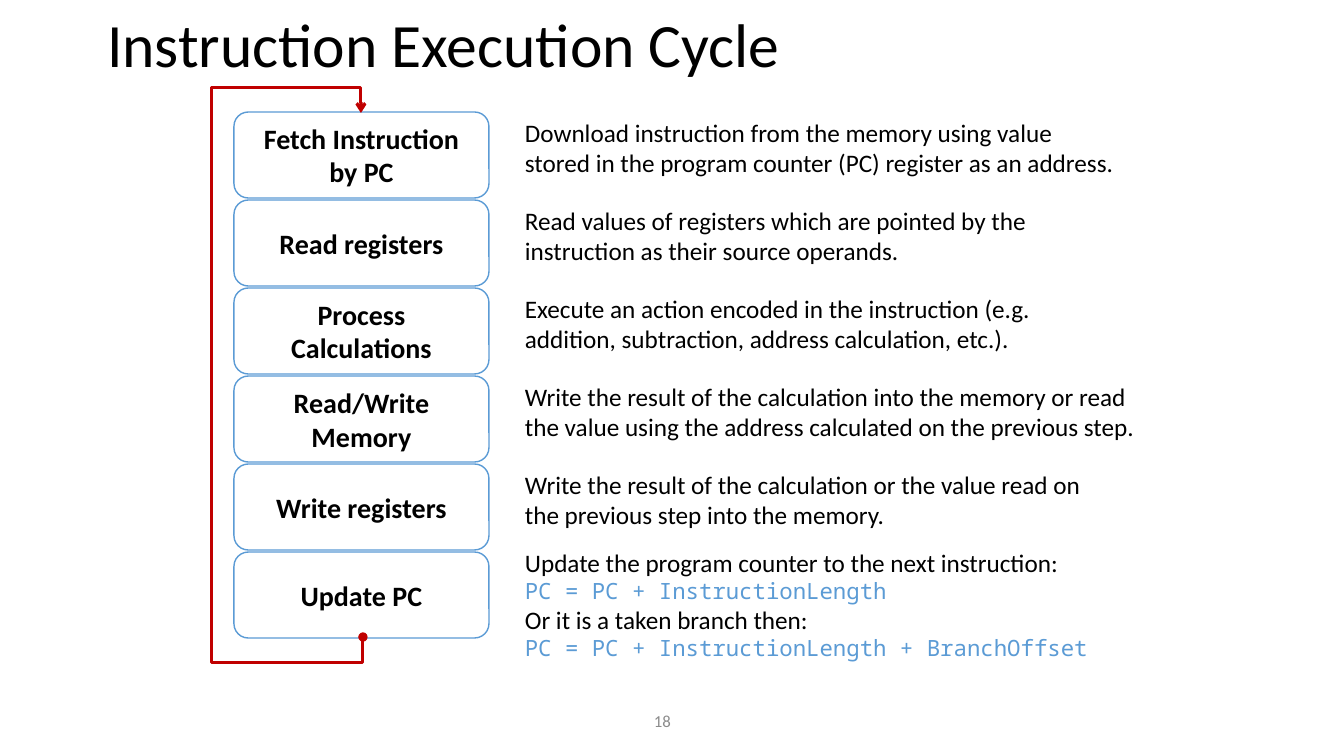
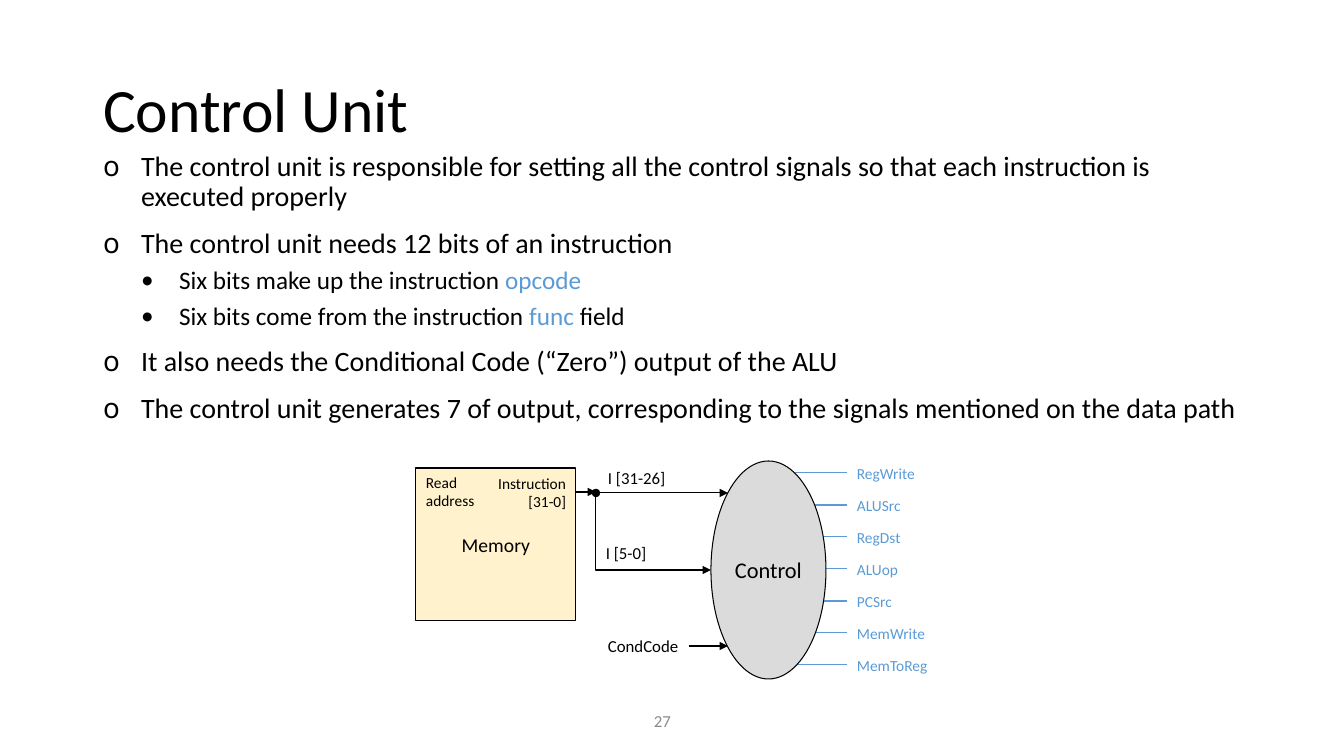
"""Build two slides on the instruction execution cycle and the control unit."""
from lxml import etree
from pptx import Presentation
from pptx.dml.color import RGBColor
from pptx.enum.shapes import MSO_CONNECTOR, MSO_SHAPE
from pptx.enum.text import MSO_ANCHOR, MSO_AUTO_SIZE, PP_ALIGN
from pptx.oxml.ns import qn
from pptx.util import Pt

STRAIGHT, ELBOW = MSO_CONNECTOR.STRAIGHT, MSO_CONNECTOR.ELBOW
RECTANGLE, ROUNDED, OVAL = MSO_SHAPE.RECTANGLE, MSO_SHAPE.ROUNDED_RECTANGLE, MSO_SHAPE.OVAL
LEFT, CENTER, RIGHT = PP_ALIGN.LEFT, PP_ALIGN.CENTER, PP_ALIGN.RIGHT
TOP, MIDDLE = MSO_ANCHOR.TOP, MSO_ANCHOR.MIDDLE
NO_AUTOSIZE = MSO_AUTO_SIZE.NONE

BLACK = RGBColor(0x00, 0x00, 0x00)
WHITE = RGBColor(0xFF, 0xFF, 0xFF)
BLUE = RGBColor(0x5B, 0x9B, 0xD5)
RED = RGBColor(0xC0, 0x00, 0x00)
CREAM = RGBColor(0xFF, 0xF2, 0xCC)
SILVER = RGBColor(0xDB, 0xDB, 0xDB)
GREY = RGBColor(0x8C, 0x8C, 0x8C)
FONT, CODE_FONT = "Calibri", "Noto Sans Mono"
PX = 914400 / 100.8


def write_text(shape, text, size, color=BLACK, align=LEFT, anchor=TOP, bold=False):
    frame = shape.text_frame
    frame.text = text
    frame.word_wrap = True
    frame.auto_size = NO_AUTOSIZE
    frame.vertical_anchor = anchor
    for paragraph in frame.paragraphs:
        paragraph.alignment = align
        for run in paragraph.runs:
            run.font.name = FONT
            run.font.size = Pt(size)
            run.font.bold = bold
            run.font.color.rgb = color
    return frame


def add_line(slide, kind, ends, color, width, head=None, tail=None):
    connector = slide.shapes.add_connector(kind, *(round(end * PX) for end in ends))
    connector.line.color.rgb = color
    connector.line.width = Pt(width)
    outline = connector.line._get_or_add_ln()
    for tag, arrow in (("a:headEnd", head), ("a:tailEnd", tail)):
        if arrow:
            etree.SubElement(outline, qn(tag), type=arrow)
    etree.SubElement(connector.element.spPr, qn("a:effectLst"))
    return connector


presentation = Presentation()
presentation.slide_width = round(1344 * PX)
presentation.slide_height = round(756 * PX)

slides = []
for layout, title, number, box in (
    (5, "Instruction Execution Cycle", "18", (97, -3, 1159, 102)),
    (1, "Control Unit", "27", (93, 40, 1159, 146)),
):
    slide = presentation.slides.add_slide(presentation.slide_layouts[layout])
    heading = slide.shapes.title
    heading.left, heading.top, heading.width, heading.height = (round(v * PX) for v in box)
    write_text(heading, title, 44, anchor=MIDDLE).paragraphs[0].line_spacing = 0.9
    number_box = slide.shapes.add_textbox(*(round(v * PX) for v in (644, 701, 80, 40)))
    write_text(number_box, number, 12, GREY, anchor=MIDDLE)
    slides.append(slide)
cycle_slide, control_slide = slides

STEPS = (
    ("Fetch Instruction by PC", 0, 611,
     "Download instruction from the memory using value stored in the program "
     "counter (PC) register as an address."),
    ("Read registers", 0, 611,
     "Read values of registers which are pointed by the instruction as their source operands."),
    ("Process Calculations", 0, 611,
     "Execute an action encoded in the instruction (e.g. addition, subtraction, "
     "address calculation, etc.)."),
    ("Read/Write\nMemory", 0, 651,
     "Write the result of the calculation into the memory or read the value using "
     "the address calculated on the previous step."),
    ("Write registers", 0, 611,
     "Write the result of the calculation or the value read on the previous step "
     "into the memory."),
    ("Update PC", -10, 611,
     "Update the program counter to the next instruction:\n"
     "PC = PC + InstructionLength\n"
     "Or it is a taken branch then:\n"
     "PC = PC + InstructionLength + BranchOffset"),
)
for index, (label, shift, width, description) in enumerate(STEPS):
    top = 112 + 88 * index
    step = cycle_slide.shapes.add_shape(ROUNDED, *(round(v * PX) for v in (234, top, 255, 86)))
    step.shadow.inherit = False
    step.fill.solid()
    step.fill.fore_color.rgb = WHITE
    step.line.color.rgb = BLUE
    step.line.width = Pt(1)
    write_text(step, label, 20, align=CENTER, anchor=MIDDLE, bold=True)
    note = cycle_slide.shapes.add_textbox(
        *(round(v * PX) for v in (515, top + shift, width, 72)))
    for paragraph in write_text(note, description, 18).paragraphs[1::2]:
        font = paragraph.runs[0].font
        font.name, font.size, font.color.rgb = CODE_FONT, Pt(16), BLUE

BULLETS = (
    (0, (("The control unit is responsible for setting all the control signals so that "
          "each instruction is executed properly", BLACK),)),
    (0, (("The control unit needs 12 bits of an instruction", BLACK),)),
    (1, (("Six bits make up the instruction ", BLACK), ("opcode", BLUE))),
    (1, (("Six bits come from the instruction ", BLACK), ("func ", BLUE), ("field", BLACK))),
    (0, (("It also needs the Conditional Code (“Zero”) output of the ALU", BLACK),)),
    (0, (("The control unit generates 7 of output, corresponding to the signals "
          "mentioned on the data path", BLACK),)),
)
LEVELS = (("o", CODE_FONT, 20, 12), ("•", FONT, 18, 6))
body = control_slide.placeholders[1]
body.left, body.top, body.width, body.height = (round(v * PX) for v in (93, 147, 1159, 509))
frame = body.text_frame
frame.auto_size = NO_AUTOSIZE
for index, (level, pieces) in enumerate(BULLETS):
    bullet, bullet_font, size, space = LEVELS[level]
    paragraph = frame.add_paragraph() if index else frame.paragraphs[0]
    paragraph.level = level
    properties = paragraph._p.get_or_add_pPr()
    properties.set("marL", str(round(38 * (level + 1) * PX)))
    properties.set("indent", str(round(-38 * PX)))
    etree.SubElement(properties, qn("a:buFont"), typeface=bullet_font)
    etree.SubElement(properties, qn("a:buChar"), char=bullet)
    paragraph.line_spacing = 0.9
    paragraph.space_before = Pt(space if index else 0)
    for text, color in pieces:
        run = paragraph.add_run()
        run.text = text
        run.font.name = FONT
        run.font.size = Pt(size)
        run.font.color.rgb = color

SIGNALS = ("RegWrite", "ALUSrc", "RegDst", "ALUop", "PCSrc", "MemWrite", "MemToReg")
for index, signal in enumerate(SIGNALS):
    middle = 473 + 32 * index
    add_line(control_slide, STRAIGHT, (847, middle, 795, middle), BLUE, 0.75)
    signal_box = control_slide.shapes.add_textbox(
        *(round(v * PX) for v in (847, middle - 15, 100, 30)))
    write_text(signal_box, signal, 11, BLUE, anchor=MIDDLE)

for kind, box, fill, width, label, size in (
    (RECTANGLE, (416, 468, 160, 153), CREAM, 0.75, "", 14),
    (OVAL, (592, 489, 8, 8), BLACK, 0.25, "", 14),
    (OVAL, (711, 461, 115, 218), SILVER, 0.75, "Control", 16),
):
    block = control_slide.shapes.add_shape(kind, *(round(v * PX) for v in box))
    block.shadow.inherit = False
    block.fill.solid()
    block.fill.fore_color.rgb = fill
    block.line.color.rgb = BLACK
    block.line.width = Pt(width)
    if label:
        write_text(block, label, size, align=CENTER, anchor=MIDDLE).word_wrap = False

for text, box, size, align in (
    ("Read\naddress", (416, 468, 80, 47), 11, LEFT),
    ("Instruction [31-0]", (477, 469, 99, 47), 11, RIGHT),
    ("Memory", (416, 528, 160, 34), 14, CENTER),
    ("I [31-26]", (598, 463, 90, 30), 12, LEFT),
    ("I [5-0]", (596, 538, 90, 30), 12, LEFT),
    ("CondCode", (598, 631, 100, 30), 12, LEFT),
):
    write_text(control_slide.shapes.add_textbox(*(round(v * PX) for v in box)),
               text, size, align=align)

for ends, width in (
    ((576, 492, 596, 492), 1.5),
    ((600, 493, 728, 493), 0.75),
    ((689, 646, 728, 646), 0.75),
):
    add_line(control_slide, STRAIGHT, ends, BLACK, width, tail="triangle")

for slide, preset, ends, color, width, head, tail, degrees, adjustments in (
    (cycle_slide, "bentConnector5", (624, 374, 100, 376), RED, 2.25, "oval", "arrow", 90,
     (-4800, 7650000, 104800)),
    (control_slide, "bentConnector2", (690, 476, 617, 591), BLACK, 0.75, None, "triangle", 270,
     ()),
):
    bend = add_line(slide, ELBOW, ends, color, width, head, tail)
    bend.element.spPr.find(qn("a:xfrm")).set("rot", str(degrees * 60000))
    geometry = bend.element.spPr.find(qn("a:prstGeom"))
    geometry.set("prst", preset)
    guides = geometry.find(qn("a:avLst"))
    for index, value in enumerate(adjustments, 1):
        etree.SubElement(guides, qn("a:gd"), name=f"adj{index}", fmla=f"val {value}")

presentation.save("out.pptx")
